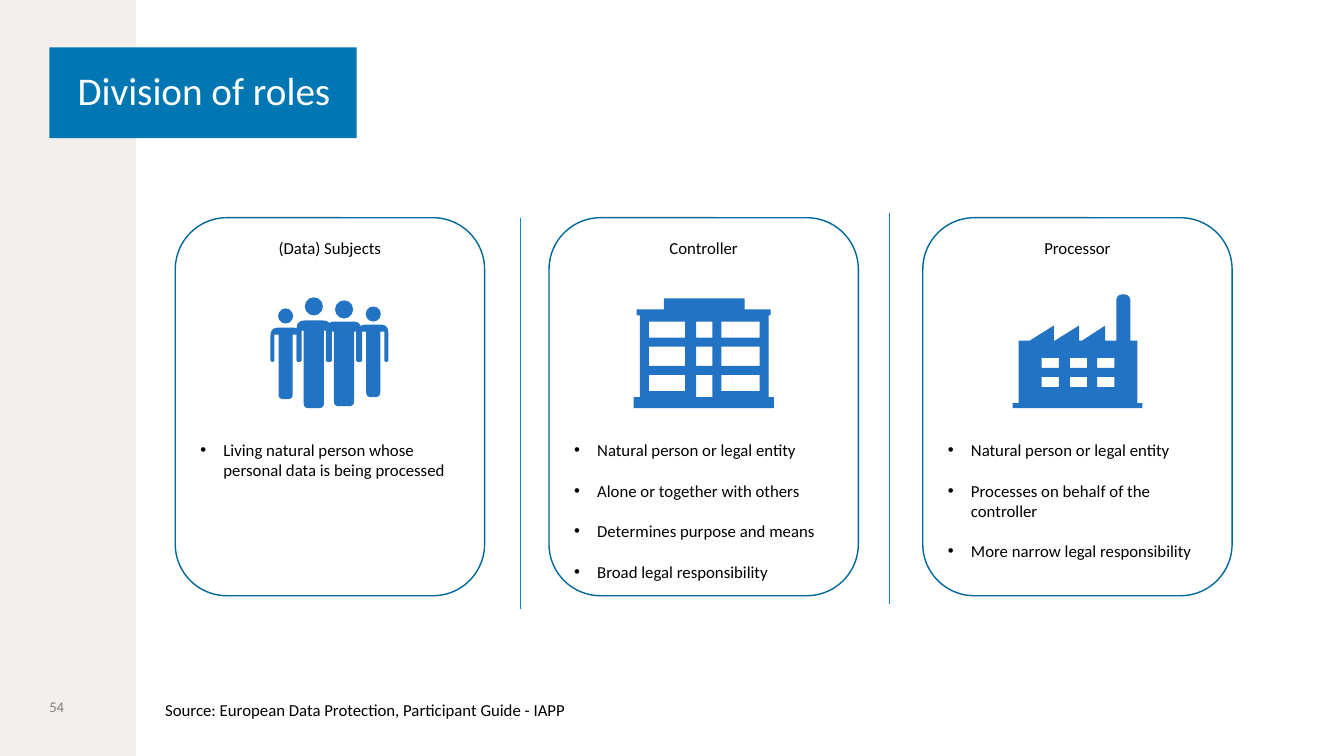
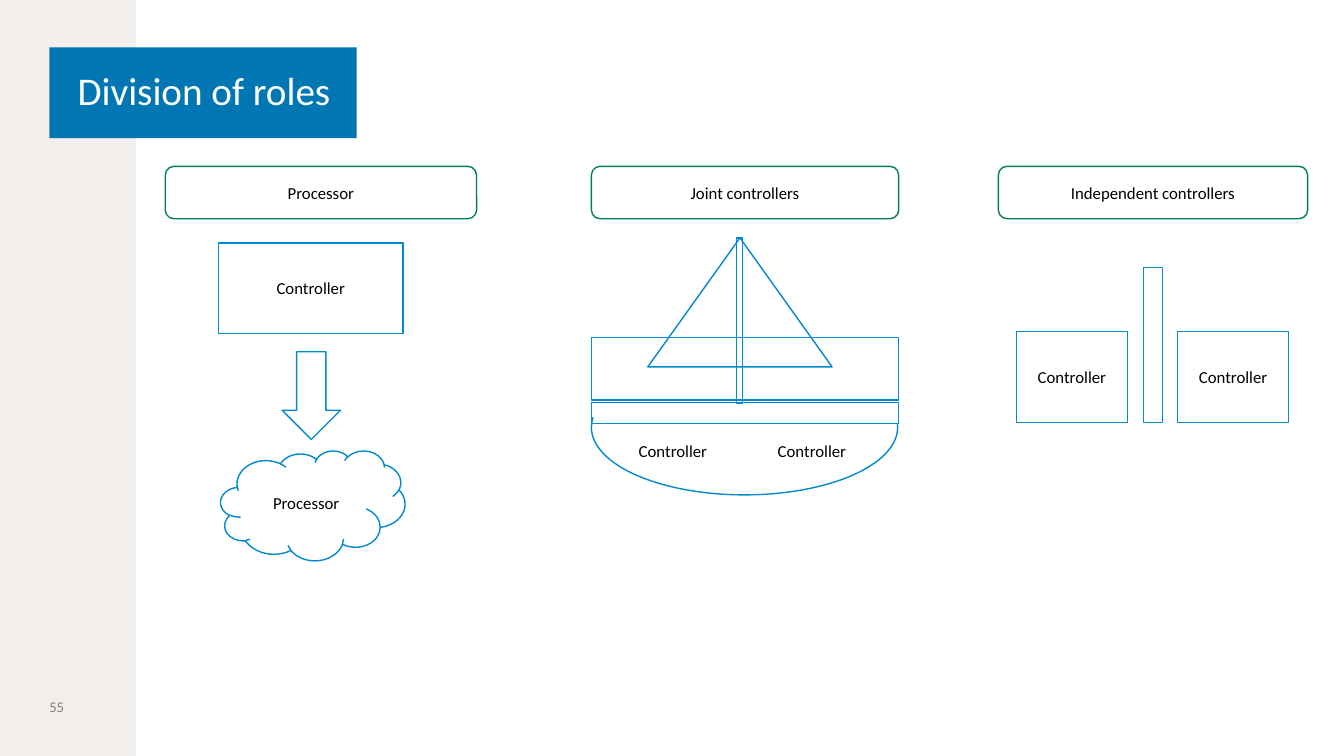
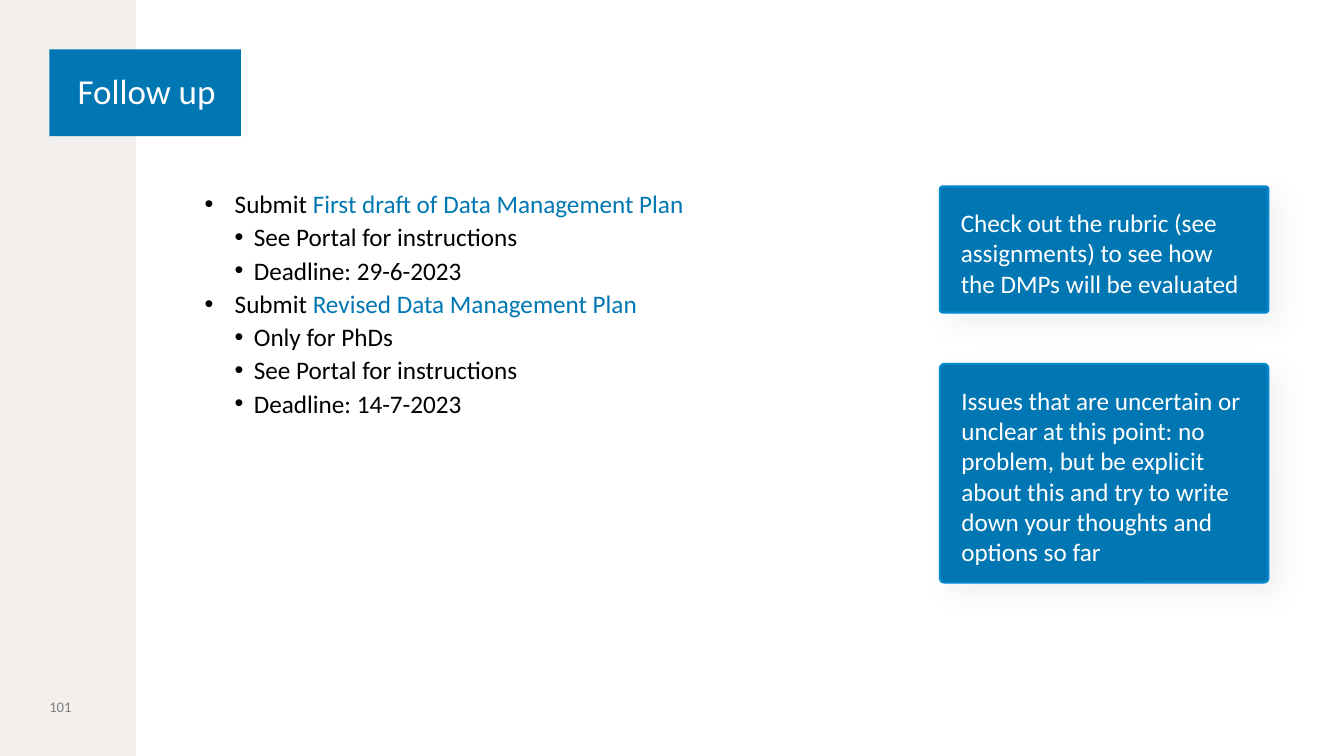
from dataclasses import dataclass
from math import dist

from lxml.etree import SubElement
from pptx import Presentation
from pptx.dml.color import RGBColor
from pptx.enum.shapes import MSO_CONNECTOR, MSO_SHAPE
from pptx.enum.text import MSO_ANCHOR, MSO_AUTO_SIZE, PP_ALIGN
from pptx.oxml.ns import qn
from pptx.util import Inches, Pt


@dataclass(frozen=True)
class Theme:
    font: str = "Calibri"
    dot: str = "Arial"
    blue: str = "0077B3"
    edge: str = "0089CF"
    navy: str = "00679B"
    green: str = "008053"
    icon: str = "2373C4"
    sand: str = "F2EFED"
    grey: str = "7F7F7F"
    black: str = "000000"
    white: str = "FFFFFF"
    title: float = 28
    minor: float = 25
    body: float = 18
    small: float = 12
    page: float = 10.5


T = Theme()
WIDE, HIGH = 13.34, 7.5
MID, TOP = MSO_ANCHOR.MIDDLE, MSO_ANCHOR.TOP
RECT, ROUND = MSO_SHAPE.RECTANGLE, MSO_SHAPE.ROUNDED_RECTANGLE


# Shared helpers
def rgb(code):
    return RGBColor.from_string(code)


def inch(box):
    return [Inches(v) for v in box]


def ink(part, size, color):
    for run in part.runs:
        run.font.name, run.font.size = T.font, Pt(size)
        run.font.color.rgb = rgb(color)


def write(frame, text, size=T.small, color=T.black, align=PP_ALIGN.CENTER,
          anchor=MID, inset=None):
    frame.word_wrap = True
    frame.vertical_anchor = anchor
    frame.text = text
    if inset is not None:
        pad(frame, inset, inset, inset, inset)
    for par in frame.paragraphs:
        par.alignment = align
        ink(par, size, color)


def pad(frame, left, top, right, bottom):
    frame.margin_left, frame.margin_top = Inches(left), Inches(top)
    frame.margin_right, frame.margin_bottom = Inches(right), Inches(bottom)


def paint(shape, fill=None, line=None, width=1):
    shape.shadow.inherit = False
    if fill:
        shape.fill.solid()
        shape.fill.fore_color.rgb = rgb(fill)
    else:
        shape.fill.background()
    if line:
        shape.line.color.rgb = rgb(line)
        shape.line.width = Pt(width)
    else:
        shape.line.fill.background()


def panel(page, kind, box, fill=None, line=None, width=1, text=""):
    shape = page.shapes.add_shape(kind, *inch(box))
    paint(shape, fill, line, width)
    if text:
        write(shape.text_frame, text)
    return shape


def label(page, box, text, **style):
    frame = page.shapes.add_textbox(*inch(box)).text_frame
    write(frame, text, **style)
    return frame


def bullet(par, left, hang):
    props = par._p.get_or_add_pPr()
    props.set("marL", str(Inches(left)))
    props.set("indent", str(-Inches(hang)))
    SubElement(props, qn("a:buFont")).set("typeface", T.dot)
    SubElement(props, qn("a:buChar")).set("char", "•")


def band(deck, page):
    """Put the side band on the master, behind everything."""
    side = panel(page, RECT, (0, 0, 1.35, HIGH), T.sand)
    side.element.nvSpPr.cNvPr.set("id", "99")
    deck.slide_master.shapes.element.insert(2, side.element)


def start(deck, title, number, box, size):
    page = deck.slides.add_slide(deck.slide_layouts[5])
    if len(deck.slides) == 1:
        band(deck, page)
    # Title block
    head = page.shapes.title
    head.left, head.top, head.width, head.height = inch(box)
    head.fill.solid()
    head.fill.fore_color.rgb = rgb(T.blue)
    frame = head.text_frame
    write(frame, title, size, T.white, PP_ALIGN.LEFT)
    pad(frame, 0.28, 0.24, 0.24, 0.24)
    frame.word_wrap = False
    frame.auto_size = MSO_AUTO_SIZE.NONE
    frame.paragraphs[0].line_spacing = 0.9
    # Page number
    label(page, (0.49, 6.52, 0.86, 0.98), number, size=T.page,
          color=T.grey, align=PP_ALIGN.LEFT, inset=0)
    return page


# Icons
def soft(loop, steps=6):
    """Turn (x, y, radius) corners into points along rounded corners."""
    points = []
    for k, (x, y, r) in enumerate(loop):
        if not r:
            points.append((x, y))
            continue
        ends = []
        for px, py, _ in (loop[k - 1], loop[(k + 1) % len(loop)]):
            part = r / dist((x, y), (px, py))
            ends.append((x + (px - x) * part, y + (py - y) * part))
        (ax, ay), (bx, by) = ends
        for n in range(steps + 1):
            t = n / steps
            u = 1 - t
            points.append((u * u * ax + 2 * u * t * x + t * t * bx,
                           u * u * ay + 2 * u * t * y + t * t * by))
    return points


def pane(x, y, w, h):
    return [(x, y), (x + w, y), (x + w, y + h), (x, y + h)]


def draw(page, x, y, loops):
    unit = 1000
    pen = None
    for loop in loops:
        dots = [(px * unit, py * unit) for px, py in loop]
        if pen is None:
            pen = page.shapes.build_freeform(*dots[0], scale=Inches(1) / unit)
        else:
            pen.move_to(*dots[0])
        pen.add_line_segments(dots[1:], close=True)
    paint(pen.convert_to_shape(Inches(x), Inches(y)), T.icon)


def people(page, x, y):
    small, large = (0.07, 0.11, 0.15, 0.07), (0.1, 0.12, 0.17, 0.1)
    # Centre, head top, shoulder, foot, build
    crowd = [(0.15, 0.11, 0.3, 1.01, small), (0.43, 0, 0.23, 1.1, large),
             (0.73, 0.03, 0.24, 1.08, large), (1.02, 0.09, 0.27, 0.99, small)]
    hand = 0.64
    for mid, crown, neck, foot, (trunk, inner, outer, drop) in crowd:
        size = 0.18 if trunk > 0.08 else 0.15
        panel(page, MSO_SHAPE.OVAL,
              (x + mid - size / 2, y + crown, size, size), T.icon)
        pit = neck + drop
        half = [(outer, neck, 0.08), (outer, hand, 0.02), (inner, hand, 0.02),
                (inner, pit, 0), (trunk, pit, 0), (trunk, foot, 0.05)]
        right = [(mid + w, h, r) for w, h, r in half]
        left = [(mid - w, h, r) for w, h, r in reversed(half)]
        draw(page, x, y, [soft(right + left)])


def office(page, x, y):
    wall = [(1.34, 0.98), (1.34, 0.17), (1.36, 0.17), (1.36, 0.11),
            (1.1, 0.11), (1.1, 0), (0.3, 0), (0.3, 0.11), (0.03, 0.11),
            (0.03, 0.17), (0.06, 0.17), (0.06, 0.98), (0, 0.98), (0, 1.09),
            (1.39, 1.09), (1.39, 0.98)]
    cols = [(0.15, 0.36), (0.62, 0.16), (0.87, 0.38)]
    rows = [(0.23, 0.16), (0.48, 0.19), (0.76, 0.16)]
    holes = [pane(cx, ry, w, h) for cx, w in cols for ry, h in rows]
    holes[5] = pane(0.62, 0.76, 0.16, 0.22)  # door
    draw(page, x, y, [wall] + holes)


def plant(page, x, y):
    roof = [(0, 1.08), (0.06, 1.08), (0.06, 0.46), (0.17, 0.46), (0.41, 0.31),
            (0.41, 0.46), (0.42, 0.46), (0.66, 0.31), (0.66, 0.46),
            (0.69, 0.46), (0.92, 0.31), (0.92, 0.46), (1.03, 0.46)]
    pipe = soft([(1.03, 0.46, 0), (1.03, 0, 0.07), (1.17, 0, 0.07),
                 (1.17, 0.46, 0)])
    base = [(1.24, 0.46), (1.24, 1.08), (1.29, 1.08), (1.29, 1.13), (0, 1.13)]
    holes = [pane(cx, ry, 0.17, 0.1)
             for cx in (0.29, 0.57, 0.84) for ry in (0.63, 0.82)]
    draw(page, x, y, [roof + pipe + base] + holes)


# Slide 1: role cards
def card(page, box, name, icon, size, notes):
    x, y, w, _ = box
    frame = panel(page, ROUND, box, line=T.navy).text_frame
    write(frame, "\n".join([name] + notes), anchor=TOP)
    for k, par in enumerate(frame.paragraphs[1:]):
        par.alignment = PP_ALIGN.LEFT
        par.space_before = Pt(14.5 if k else 130)
        bullet(par, 0.23, 0.23)
    wide, high = size
    icon(page, x + (w - wide) / 2, y + 1.89 - high)


def rule(page, x, y, length):
    line = page.shapes.add_connector(MSO_CONNECTOR.STRAIGHT,
                                     *inch((x, y, x, y + length)))
    line.line.color.rgb = rgb(T.edge)
    line.line.width = Pt(0.5)
    SubElement(line.element.spPr, qn("a:effectLst"))


def roles(deck):
    page = start(deck, "Division of roles", "54", (0.49, 0.47, 3.05, 0.9),
                 T.title)
    cards = [
        ("(Data) Subjects", people, (1.18, 1.1),
         ["Living natural person whose personal data is being processed"]),
        ("Controller", office, (1.39, 1.09),
         ["Natural person or legal entity", "Alone or together with others",
          "Determines purpose and means", "Broad legal responsibility"]),
        ("Processor", plant, (1.29, 1.13),
         ["Natural person or legal entity",
          "Processes on behalf of the controller",
          "More narrow legal responsibility"]),
    ]
    for k, data in enumerate(cards):
        card(page, (1.74 + k * 3.71, 2.16, 3.07, 3.75), *data)
    rule(page, 5.17, 2.16, 3.88)
    rule(page, 8.83, 2.11, 3.88)
    # Source line
    frame = label(page, (1.54, 6.89, 4.22, 0.3),
                  "Source: European Data Protection, Participant Guide - IAPP",
                  align=PP_ALIGN.LEFT, anchor=TOP)
    frame.word_wrap = False


# Slide 2: three kinds of cooperation
def chain(page, x, y):
    panel(page, RECT, (x + 0.53, y, 1.83, 0.9), line=T.edge,
          text="Controller")
    panel(page, MSO_SHAPE.DOWN_ARROW, (x + 1.16, y + 1.08, 0.58, 0.87),
          line=T.edge)
    panel(page, MSO_SHAPE.CLOUD, (x + 0.55, y + 2.06, 1.83, 1.09),
          line=T.edge, text="Processor")


def boat(page, x, y):
    # Hull: arc angles in degrees, 0.6 units each
    hull = panel(page, MSO_SHAPE.ARC, (x, y + 1.21, 3.04, 1.34), line=T.edge)
    hull.adjustments[0], hull.adjustments[1] = 358.6 * 0.6, 183.8 * 0.6
    # Deck, cabin, sail and mast
    for kind, box in [(RECT, (x, y + 1.63, 3.05, 0.21)),
                      (RECT, (x, y + 0.99, 3.05, 0.62)),
                      (MSO_SHAPE.ISOSCELES_TRIANGLE,
                       (x + 0.56, y, 1.83, 1.28)),
                      (RECT, (x + 1.44, y, 0.06, 1.64))]:
        panel(page, kind, box, line=T.edge)
    for dx in (0.26, 1.64):
        label(page, (x + dx, y + 1.66, 1.1, 0.9), "Controller")


def split(page, x, y):
    for dx in (0.18, 1.78):
        panel(page, RECT, (x + dx, y + 0.64, 1.1, 0.9), line=T.edge,
              text="Controller")
    panel(page, RECT, (x + 1.44, y, 0.19, 1.54), line=T.edge, width=0.5)


def forms(deck):
    page = start(deck, "Division of roles", "55", (0.49, 0.47, 3.05, 0.9),
                 T.title)
    for name, x, wide, sketch, y in [
            ("Processor", 1.64, 3.09, chain, 2.41),
            ("Joint controllers", 5.87, 3.05, boat, 2.36),
            ("Independent controllers", 9.91, 3.07, split, 2.65)]:
        panel(page, ROUND, (x, 1.65, wide, 0.52), line=T.green, text=name)
        sketch(page, x, y)


# Slide 3: tasks and callouts
def tasks(page, box, items):
    frame = label(page, box, "\n".join(a + b for _, a, b in items),
                  size=T.body, align=PP_ALIGN.LEFT, anchor=TOP, inset=0)
    for par, (level, text, link) in zip(frame.paragraphs, items):
        par.level = level
        par.line_spacing = 1.1
        bullet(par, *((0.49, 0.3) if level == 1 else (0.68, 0.19)))
        if link:
            par.runs[0].text = text
            par.add_run().text = link
            ink(par, T.body, T.black)
            par.runs[1].font.color.rgb = rgb(T.blue)


def callout(page, box, text):
    shape = panel(page, ROUND, box, T.blue, T.edge, 1.5)
    shape.adjustments[0] = 0.02
    write(shape.text_frame, text, T.body, T.white, PP_ALIGN.LEFT, TOP, 0.2)
    # Soft shadow
    glow = SubElement(shape.element.spPr.find(qn("a:effectLst")),
                      qn("a:outerShdw"), blurRad=str(Pt(20)),
                      dist=str(Pt(10)), dir="2700000", algn="tl",
                      rotWithShape="0")
    tint = SubElement(glow, qn("a:srgbClr"), val=T.black)
    SubElement(tint, qn("a:alpha"), val="5000")


def follow(deck):
    page = start(deck, "Follow up", "101", (0.49, 0.49, 1.9, 0.86), T.minor)
    tasks(page, (1.84, 1.84, 7.17, 4.67), [
        (1, "Submit ", "First draft of Data Management Plan"),
        (2, "See Portal for instructions", ""),
        (2, "Deadline: 29-6-2023", ""),
        (1, "Submit ", "Revised Data Management Plan"),
        (2, "Only for PhDs", ""),
        (2, "See Portal for instructions", ""),
        (2, "Deadline: 14-7-2023", "")])
    callout(page, (9.33, 1.85, 3.26, 1.25),
            "Check out the rubric (see assignments) to see how the DMPs "
            "will be evaluated")
    callout(page, (9.33, 3.61, 3.26, 2.17),
            "Issues that are uncertain or unclear at this point: no problem, "
            "but be explicit about this and try to write down your thoughts "
            "and options so far")


def main():
    deck = Presentation()
    deck.slide_width, deck.slide_height = Inches(WIDE), Inches(HIGH)
    for build in (roles, forms, follow):
        build(deck)
    deck.save("out.pptx")


if __name__ == "__main__":
    main()
